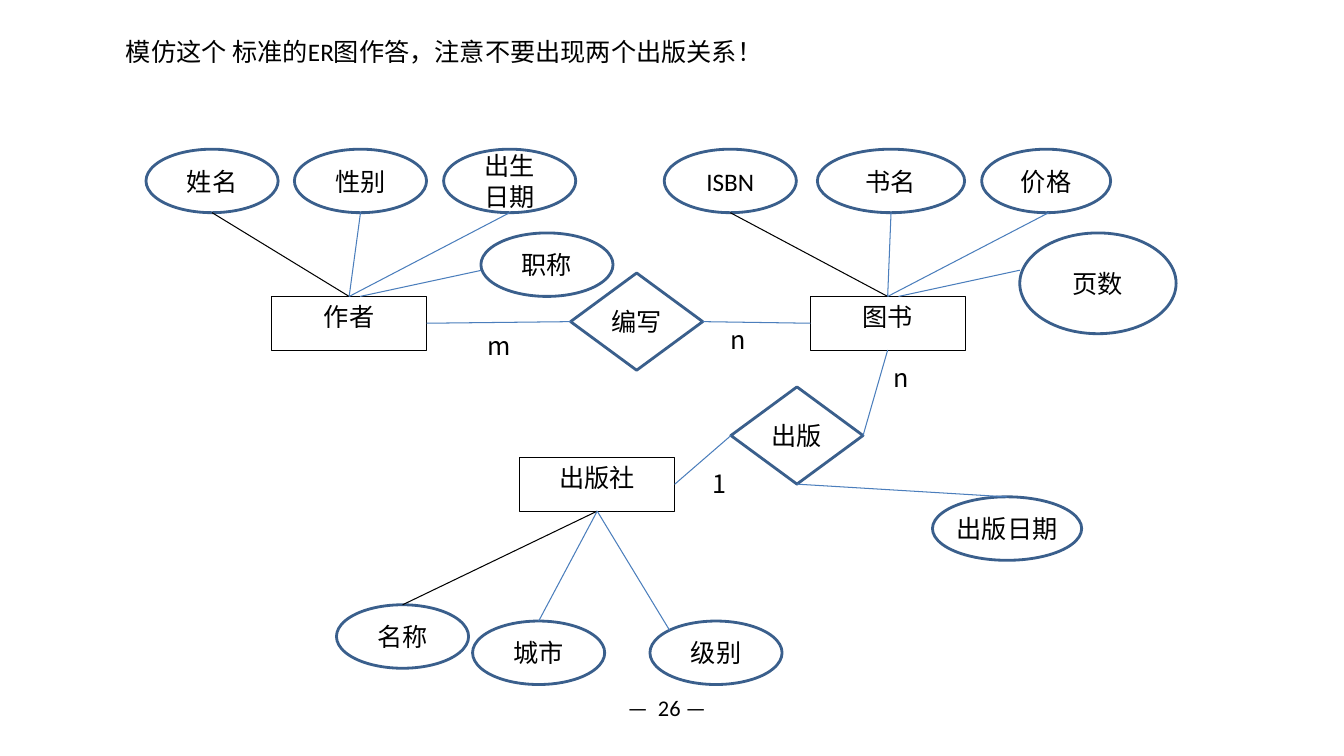
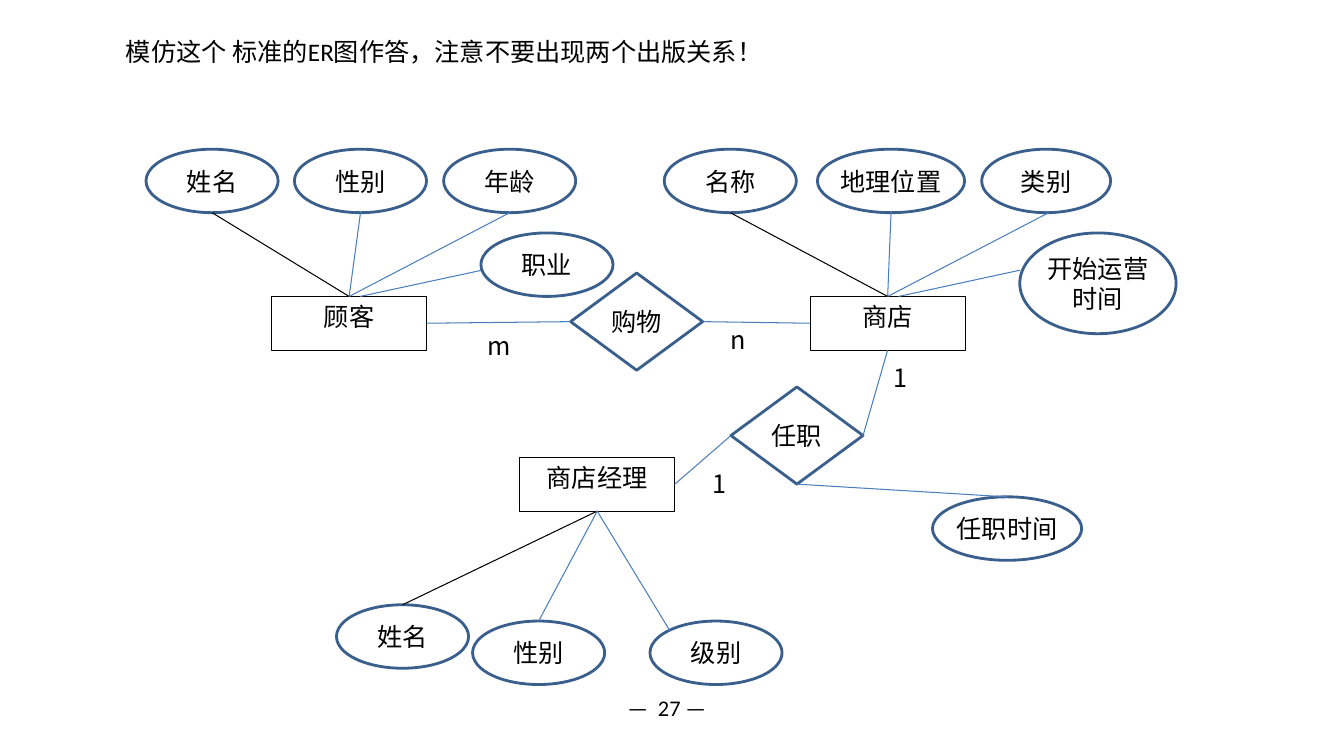
from dataclasses import dataclass
from typing import NamedTuple

from lxml.etree import SubElement
from pptx import Presentation
from pptx.dml.color import RGBColor
from pptx.enum.shapes import MSO_CONNECTOR as Wire, MSO_SHAPE as Form
from pptx.enum.text import MSO_ANCHOR as Anchor, MSO_AUTO_SIZE as Fit, PP_ALIGN as Align
from pptx.oxml.ns import qn
from pptx.slide import Slide
from pptx.text.text import TextFrame
from pptx.util import Cm, Pt

# Shared style
BLACK = RGBColor(0x00, 0x00, 0x00)
WHITE = RGBColor(0xFF, 0xFF, 0xFF)
NAVY = RGBColor(0x3A, 0x5F, 0x8C)
BLUE = RGBColor(0x4B, 0x7E, 0xBC)
LATIN = "Calibri"
HAN = "Noto Sans CJK SC"
TITLE = "模仿这个 标准的ER图作答，注意不要出现两个出版关系！"


@dataclass(frozen=True)
class Style:
    form: Form
    fill: RGBColor | None
    line: RGBColor | None
    weight: float
    anchor: Anchor
    align: Align
    side: float
    edge: float


class Node(NamedTuple):
    style: Style
    x: float
    y: float
    w: float = 3.33
    h: float = 1.6


class Link(NamedTuple):
    """A line between two nodes; each end is a fraction of the node's box."""
    start: str
    out: tuple[float, float]
    end: str
    into: tuple[float, float]
    color: RGBColor = BLUE


class Page(NamedTuple):
    number: int
    font: str
    words: dict[str, str]
    marks: str


ENTITY = Style(Form.RECTANGLE, WHITE, BLACK, 0.5, Anchor.TOP, Align.CENTER, 0.25, 0.13)
FIELD = Style(Form.OVAL, None, NAVY, 2, Anchor.MIDDLE, Align.CENTER, 0.25, 0.13)
WIDE = Style(Form.OVAL, None, NAVY, 2, Anchor.MIDDLE, Align.CENTER, 0, 0.13)
BOND = Style(Form.DIAMOND, None, NAVY, 2, Anchor.MIDDLE, Align.CENTER, 0, 0.13)
MARK = Style(Form.RECTANGLE, WHITE, None, 0, Anchor.TOP, Align.JUSTIFY, 0, 0)

TOP, BOTTOM, LEFT, RIGHT = (0.5, 0), (0.5, 1), (0, 0.5), (1, 0.5)
CORNER = (0.15, 0.15)
ASIDE = (0.57, 0)

# Diagram layout, in centimetres: a, b and c are the three entities
NODES = {
    "a": Node(ENTITY, 6.85, 7.47, 3.9, 1.35),
    "a1": Node(FIELD, 3.68, 3.76),
    "a2": Node(FIELD, 7.42, 3.76),
    "a3": Node(FIELD, 11.18, 3.76),
    "a4": Node(FIELD, 12.12, 5.87),
    "b": Node(ENTITY, 20.42, 7.47, 3.9, 1.35),
    "b1": Node(FIELD, 16.74, 3.76),
    "b2": Node(WIDE, 20.6, 3.76, 3.71),
    "b3": Node(FIELD, 24.74, 3.76, 3.25),
    "b4": Node(WIDE, 25.7, 5.87, 3.94, 2.54),
    "c": Node(ENTITY, 13.1, 11.53, 3.9, 1.35),
    "c1": Node(FIELD, 8.48, 15.24),
    "c2": Node(FIELD, 11.91, 15.65),
    "c3": Node(FIELD, 16.38, 15.65),
    "ab": Node(BOND, 14.38, 6.88, 3.33, 2.45),
    "bc": Node(BOND, 18.42, 9.75, 3.33, 2.45),
    "bc1": Node(WIDE, 23.5, 12.52, 3.76),
}
LINKS = [
    Link("a1", BOTTOM, "a", TOP, BLACK),
    Link("a2", BOTTOM, "a", TOP),
    Link("a3", BOTTOM, "a", TOP),
    Link("a", ASIDE, "a4", (0, 0.59)),
    Link("b1", BOTTOM, "b", TOP, BLACK),
    Link("b2", BOTTOM, "b", TOP),
    Link("b3", (0.52, 1), "b", TOP),
    Link("b", ASIDE, "b4", (0, 0.37)),
    Link("c1", TOP, "c", BOTTOM, BLACK),
    Link("c2", TOP, "c", BOTTOM),
    Link("c", BOTTOM, "c3", CORNER),
    Link("a", RIGHT, "ab", LEFT),
    Link("ab", RIGHT, "b", LEFT),
    Link("c", RIGHT, "bc", LEFT),
    Link("b", BOTTOM, "bc", RIGHT),
    Link("bc1", TOP, "bc", BOTTOM),
]
MARKS = [
    Node(MARK, x, y, 0.94, 0.94)
    for x, y in [(12.29, 8.33), (18.42, 8.18), (22.53, 9.12), (17.96, 11.79)]
]

# Slide content
PAGES = [
    Page(26, LATIN, {
        "a": "作者", "a1": "姓名", "a2": "性别", "a3": "出生日期", "a4": "职称",
        "b": "图书", "b1": "ISBN", "b2": "书名", "b3": "价格", "b4": "页数",
        "c": "出版社", "c1": "名称", "c2": "城市", "c3": "级别",
        "ab": "编写", "bc": "出版", "bc1": "出版日期",
    }, "mnn1"),
    Page(27, HAN, {
        "a": "顾客", "a1": "姓名", "a2": "性别", "a3": "年龄", "a4": "职业",
        "b": "商店", "b1": "名称", "b2": "地理位置", "b3": "类别", "b4": "开始运营时间",
        "c": "商店经理", "c1": "姓名", "c2": "性别", "c3": "级别",
        "ab": "购物", "bc": "任职", "bc1": "任职时间",
    }, "mn11"),
]


def write(frame: TextFrame, text: str, font: str, align: Align, size: int = 18) -> None:
    frame.text = text
    para = frame.paragraphs[0]
    para.alignment = align
    para.font.size = Pt(size)
    para.font.color.rgb = BLACK
    para.font.name = font
    # East Asian typeface
    base = para._p.pPr.find(qn("a:defRPr"))
    SubElement(base, qn("a:ea")).set("typeface", HAN)


def draw(slide: Slide, node: Node, text: str, font: str) -> None:
    style = node.style
    shape = slide.shapes.add_shape(
        style.form, Cm(node.x), Cm(node.y), Cm(node.w), Cm(node.h))
    shape.shadow.inherit = False
    if style.fill is None:
        shape.fill.background()
    else:
        shape.fill.solid()
        shape.fill.fore_color.rgb = style.fill
    if style.line is None:
        shape.line.fill.background()
    else:
        shape.line.color.rgb = style.line
        shape.line.width = Pt(style.weight)
    frame = shape.text_frame
    frame.word_wrap = True
    frame.vertical_anchor = style.anchor
    frame.margin_left = frame.margin_right = Cm(style.side)
    frame.margin_top = frame.margin_bottom = Cm(style.edge)
    write(frame, text, font, style.align)


def spot(name: str, part: tuple[float, float]) -> tuple[Cm, Cm]:
    node = NODES[name]
    return Cm(node.x + node.w * part[0]), Cm(node.y + node.h * part[1])


def join(slide: Slide, link: Link) -> None:
    wire = slide.shapes.add_connector(
        Wire.STRAIGHT, *spot(link.start, link.out), *spot(link.end, link.into))
    wire.line.color.rgb = link.color
    wire.line.width = Pt(0.75)
    SubElement(wire._element.spPr, qn("a:effectLst"))


def head(slide: Slide) -> None:
    title = slide.shapes.title
    title.left, title.top = Cm(2.92), Cm(0.79)
    title.width, title.height = Cm(16.21), Cm(1.02)
    frame = title.text_frame
    frame.word_wrap = True
    frame.auto_size = Fit.NONE
    frame.vertical_anchor = Anchor.TOP
    write(frame, TITLE, LATIN, Align.LEFT)


def foot(slide: Slide, number: int) -> None:
    box = slide.shapes.add_textbox(Cm(15.57), Cm(17.37), Cm(2.72), Cm(0.94))
    box.text_frame.word_wrap = False
    write(box.text_frame, f"—  {number} — ", LATIN, Align.LEFT, 16)


def build(deck: Presentation, page: Page) -> None:
    slide = deck.slides.add_slide(deck.slide_layouts[5])
    head(slide)
    for name, node in NODES.items():
        own = node.style in (FIELD, WIDE) and name not in ("a1", "a2")
        draw(slide, node, page.words[name], page.font if own else HAN)
    for link in LINKS:
        join(slide, link)
    for node, text in zip(MARKS, page.marks):
        draw(slide, node, text, HAN)
    foot(slide, page.number)


deck = Presentation()
deck.slide_width, deck.slide_height = Cm(33.87), Cm(19.05)
for page in PAGES:
    build(deck, page)
deck.save("out.pptx")
